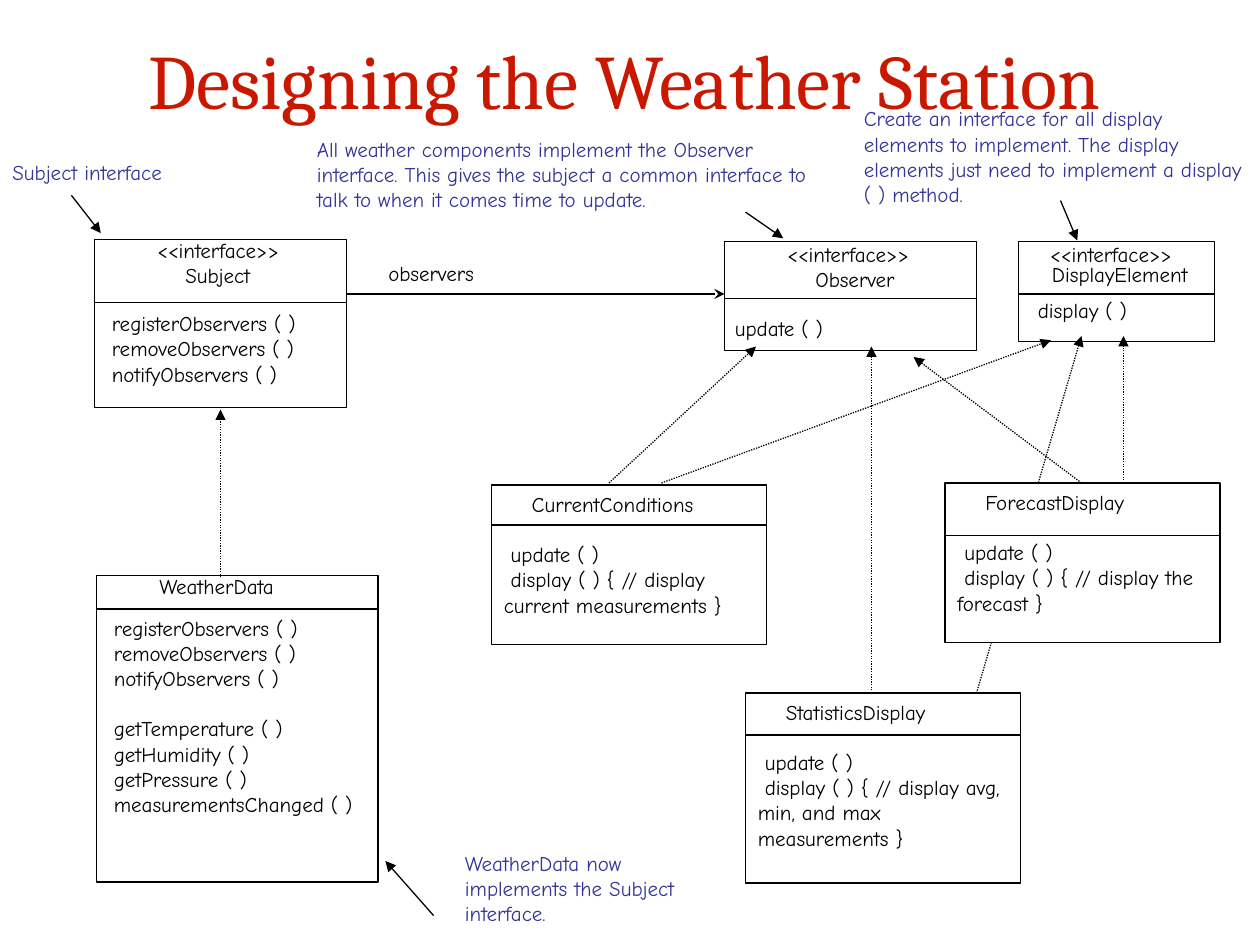
from dataclasses import dataclass

from lxml.etree import SubElement
from pptx import Presentation
from pptx.dml.color import RGBColor as Color
from pptx.enum.dml import MSO_LINE as Dash
from pptx.enum.shapes import MSO_CONNECTOR as Connector, MSO_SHAPE as Preset
from pptx.enum.text import MSO_ANCHOR as Anchor, PP_ALIGN as Align
from pptx.oxml.ns import qn
from pptx.util import Inches, Pt

WIDTH, HEIGHT = Inches(10), Inches(7.5)
COLUMNS, ROWS = 120, 90


@dataclass(frozen=True)
class Theme:
    ink: Color = Color(0, 0, 0)
    paper: Color = Color(255, 255, 255)
    note: Color = Color(0x33, 0x33, 0x99)
    title: Color = Color(0xCA, 0x18, 0x00)
    title_font: str = "Cambria"
    body_font: str = "Comic Neue"
    title_size: float = 44
    body_size: float = 12
    line_width: float = 0.75
    row_gap: float = 14.4
    name_indent: float = 16
    member_indent: float = 4


THEME = Theme()


@dataclass(frozen=True)
class Row:
    text: str
    indent: float = 0
    gap: float = 0
    pitch: float = 0


def member(text, gap=0, pitch=0):
    return Row(text, THEME.member_indent, gap, pitch)


def across(columns):
    return round(WIDTH * columns / COLUMNS)


def down(rows):
    return round(HEIGHT * rows / ROWS)


def place(left, top, width, height):
    return across(left), down(top), across(width), down(height)


def write_rows(frame, rows, color=THEME.ink, font=THEME.body_font,
               size=THEME.body_size, align=Align.LEFT):
    frame.word_wrap = True
    frame.text = "\n".join(row.text for row in rows)
    for para, row in zip(frame.paragraphs, rows):
        para.alignment = align
        if row.indent:
            para._p.get_or_add_pPr().set("indent", str(Pt(row.indent)))
        if row.gap:
            para.space_before = Pt(row.gap)
        if row.pitch:
            para.line_spacing = Pt(row.pitch)
        for span in para.runs:
            span.font.name = font
            span.font.size = Pt(size)
            span.font.color.rgb = color


def add_text(page, area, rows, **style):
    box = page.shapes.add_textbox(*place(*area))
    write_rows(box.text_frame, rows, **style)
    return box


def add_note(page, area, text):
    add_text(page, area, [Row(text)], color=THEME.note)


def add_line(page, start, end, head=None, dotted=False):
    line = page.shapes.add_connector(
        Connector.STRAIGHT, across(start[0]), down(start[1]),
        across(end[0]), down(end[1]))
    line.line.color.rgb = THEME.ink
    line.line.width = Pt(THEME.line_width)
    if dotted:
        line.line.dash_style = Dash.ROUND_DOT
    if head:
        SubElement(line.line._get_or_add_ln(), qn("a:tailEnd"), type=head)
    SubElement(line._element.spPr, qn("a:effectLst"))


def add_class_box(page, area, divider, rows=(), filled=False):
    left, top, width, _ = area
    box = page.shapes.add_shape(Preset.RECTANGLE, *place(*area))
    box.shadow.inherit = False
    if filled:
        box.fill.solid()
        box.fill.fore_color.rgb = THEME.paper
    else:
        box.fill.background()
    box.line.color.rgb = THEME.ink
    box.line.width = Pt(THEME.line_width)
    box.text_frame.vertical_anchor = Anchor.TOP
    if rows:
        write_rows(box.text_frame, rows)
    add_line(page, (left, top + divider), (left + width, top + divider))
    return box


def add_display(page, area, divider, name, action, filled=False):
    add_class_box(page, area, divider, [
        Row(name, THEME.name_indent),
        member("update ( )", THEME.row_gap),
        member("display ( ) { // " + action + " }"),
    ], filled)


def add_interface_name(page, left, top, name):
    add_text(page, (left, top, 16, 6.8),
             [Row("<<interface>>"), Row(name, THEME.name_indent)])


def add_interfaces(page):
    add_class_box(page, (9, 22.8, 24, 16), 6)
    add_interface_name(page, 13.8, 22, "Subject")
    add_text(page, (8.8, 29, 23.2, 9.6), SUBJECT_MEMBERS)

    add_class_box(page, (69, 23, 24, 10.4), 5.4)
    add_interface_name(page, 73.8, 22.4, "Observer")
    add_text(page, (68.8, 29.5, 14, 4), [Row("update ( )")])

    element = add_class_box(page, (97, 23, 18.7, 9.5), 5, [
        Row("<<interface>>", 11),
        Row("DisplayElement", 12, pitch=11.4),
        member("display ( )", gap=9, pitch=11.4),
    ])
    element.text_frame.margin_top = 0


SUBJECT_MEMBERS = [member(name + " ( )") for name in
                   ("registerObservers", "removeObservers", "notifyObservers")]
DATA_MEMBERS = SUBJECT_MEMBERS + [
    member("getTemperature ( )", THEME.row_gap),
    member("getHumidity ( )"),
    member("getPressure ( )"),
    member("measurementsChanged ( )"),
]
IMPLEMENTS = [
    ((21, 55), (21, 39)),
    ((58, 46), (72, 33)),
    ((83, 66), (83, 33)),
    ((103, 46), (87, 34)),
    ((107, 46), (107, 32)),
    ((63, 46), (100.1, 32.4)),
]
NOTE_POINTERS = [
    ((6.8, 18.6), (9.6, 22.2)),
    ((71, 20.2), (74.6, 22.7)),
    ((101, 19.1), (102.6, 22.9)),
    ((41.3, 87.2), (36.7, 82)),
]
NOTES = [
    ((0, 14.6, 19.3, 4), "Subject interface"),
    ((29, 12.4, 51.5, 9.6),
     "All weather components implement the Observer interface. This gives the "
     "subject a common interface to talk to when it comes time to update."),
    ((81.1, 9.5, 38.9, 12.4),
     "Create an interface for all display elements to implement. The display "
     "elements just need to implement a display ( ) method."),
    ((43.1, 80.4, 25.4, 9.6),
     "WeatherData now implements the Subject interface."),
]


def main():
    deck = Presentation()
    deck.slide_width, deck.slide_height = WIDTH, HEIGHT
    page = deck.slides.add_slide(deck.slide_layouts[6])

    add_line(page, (93, 66), (103, 32), "triangle", dotted=True)
    add_display(page, (90, 46, 26.2, 15.2), 5, "ForecastDisplay",
                "display the forecast", filled=True)
    title = add_text(page, (4, 0, 111, 15), [Row("Designing the Weather Station")],
                     color=THEME.title, font=THEME.title_font,
                     size=THEME.title_size, align=Align.CENTER)
    title.text_frame.vertical_anchor = Anchor.MIDDLE

    add_interfaces(page)
    add_line(page, (33, 28), (69, 28), "stealth")
    add_text(page, (35.8, 24.2, 12, 4), [Row("observers")])

    add_class_box(page, (9.2, 54.8, 26.8, 29.2), 3.2)
    add_text(page, (14, 54, 16, 4), [Row("WeatherData")])
    add_text(page, (9, 58, 26.9, 23.5), DATA_MEMBERS)

    add_display(page, (46.8, 46.2, 26.2, 15.2), 3.8, "CurrentConditions",
                "display current measurements")
    add_display(page, (71, 66, 26.2, 18.1), 4, "StatisticsDisplay",
                "display avg, min, and max measurements")

    for start, end in IMPLEMENTS:
        add_line(page, start, end, "triangle", dotted=True)
    for start, end in NOTE_POINTERS:
        add_line(page, start, end, "triangle")
    for area, text in NOTES:
        add_note(page, area, text)

    deck.save("out.pptx")


if __name__ == "__main__":
    main()
